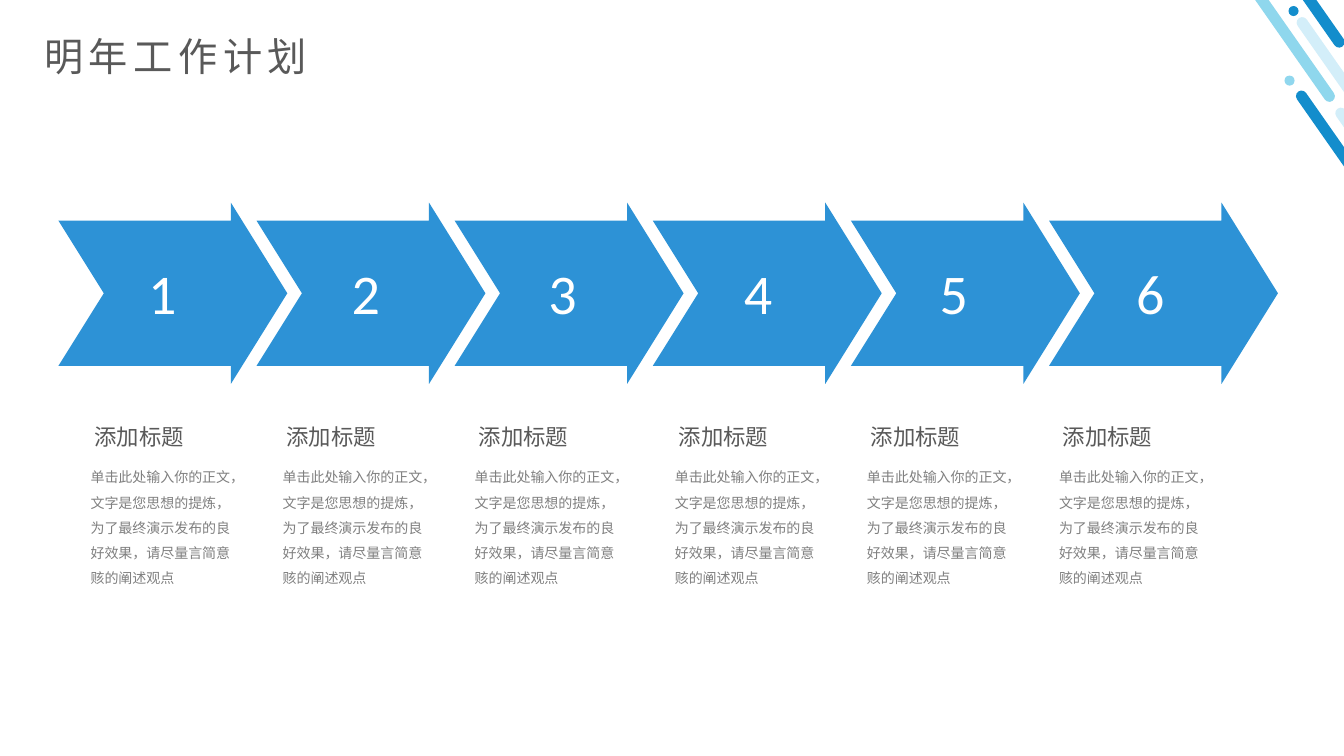
from pptx import Presentation, util as u
from pptx.dml.color import RGBColor
from pptx.enum import shapes, text

COLORS = {"step": "2D92D6", "deep": "138DCC", "sky": "90D7EE", "aqua": "8FD7ED",
          "pale": "D3EEF9", "dark": "595959", "gray": "808080", "white": "FFFFFF"}
CJK = "Noto Sans CJK SC"
PLAN_TITLE = "明年工作计划"
HEADING = "添加标题"
BODY = "单击此处输入你的正文，文字是您思想的提炼，为了最终演示发布的良好效果，请尽量言简意赅的阐述观点"
NUMBERS = [("1", 1.37, 1.0), ("2", 3.39, 1.04), ("3", 5.34, 0.85),
           ("4", 7.28, 0.89), ("5", 9.22, 0.85), ("6", 11.17, 0.86)]
STRIPE, DOT = shapes.MSO_SHAPE.ROUNDED_RECTANGLE, shapes.MSO_SHAPE.OVAL
DECORATION = [
    (STRIPE, 13.45, 0.71, 0.11, 2.19, "deep"),
    (DOT, 12.74, 0.75, 0.1, 0.1, "sky"),
    (STRIPE, 13.84, 0.88, 0.11, 2.19, "pale"),
    (STRIPE, 12.37, -1.51, 0.11, 2.76, "aqua"),
    (STRIPE, 13.62, -0.07, 0.11, 2.76, "pale"),
    (STRIPE, 12.63, -1.53, 0.11, 2.19, "deep"),
    (DOT, 12.78, 0.06, 0.1, 0.1, "deep"),
]
ARROW = [(1.71, 0), (2.27, 0.9), (1.71, 1.8), (1.71, 1.62), (0, 1.62),
         (0.45, 0.9), (0, 0.18), (1.71, 0.18)]
ARROW_LEFT, ARROW_TOP, ARROW_STEP = 0.58, 2.01, 1.965
COLUMN_LEFT, COLUMN_STEP, MIDDLE_GAP = 0.8, 1.905, 0.08
FORMATS = {
    "title": {"size": u.Pt(28), "name": CJK, "color": "dark"},
    "number": {"size": u.Pt(40), "name": "Calibri", "color": "white"},
    "heading": {"size": u.Pt(16), "name": CJK, "color": "dark"},
    "body": {"size": u.Pt(10), "name": CJK, "color": "gray"},
}


def paint(outline, color):
    outline.shadow.inherit = False
    outline.fill.solid()
    outline.fill.fore_color.rgb = RGBColor.from_string(COLORS[color])
    outline.line.fill.background()


def write(slide, words, place, role):
    frame = slide.shapes.add_textbox(*map(u.Inches, place)).text_frame
    frame.word_wrap = True
    frame.auto_size = text.MSO_AUTO_SIZE.NONE
    line = frame.paragraphs[0]
    run = line.add_run()
    run.text = words
    properties = run._r.get_or_add_rPr()
    for key, value in FORMATS[role].items():
        if key == "color":
            run.font.color.rgb = RGBColor.from_string(COLORS[value])
        else:
            setattr(run.font, key, value)
    if FORMATS[role]["name"] == CJK:
        east_asian = properties.makeelement(
            "{http://schemas.openxmlformats.org/drawingml/2006/main}ea", {"typeface": CJK})
        properties.append(east_asian)
    if role == "title":
        properties.set("spc", "400")
    if role == "body":
        line.line_spacing = 1.5


def main():
    deck = Presentation()
    deck.slide_width, deck.slide_height = u.Inches(13.33), u.Inches(7.5)
    slide = deck.slides.add_slide(deck.slide_layouts[6])

    for kind, left, top, width, height, color in DECORATION:
        mark = slide.shapes.add_shape(kind, *map(u.Inches, (left, top, width, height)))
        paint(mark, color)
        if kind == STRIPE:
            mark.adjustments[0] = 0.5
            mark.rotation = 325

    write(slide, PLAN_TITLE, (0.34, 0.27, 12.9, 0.57), "title")

    for index in range(len(NUMBERS)):
        left = ARROW_LEFT + index * ARROW_STEP
        corners = [(u.Inches(left + x), u.Inches(ARROW_TOP + y)) for x, y in ARROW]
        builder = slide.shapes.build_freeform(*corners[0])
        builder.add_line_segments(corners[1:], close=True)
        paint(builder.convert_to_shape(), "step")

    for number, left, width in NUMBERS:
        write(slide, number, (left, 2.52, width, 0.77), "number")

    for index in range(len(NUMBERS)):
        left = COLUMN_LEFT + index * COLUMN_STEP + index // 3 * MIDDLE_GAP
        write(slide, BODY, (left, 4.52, 1.62, 1.33), "body")
        write(slide, HEADING, (left + 0.04, 4.15, 1.53, 0.37), "heading")

    deck.save("out.pptx")


if __name__ == "__main__":
    main()
